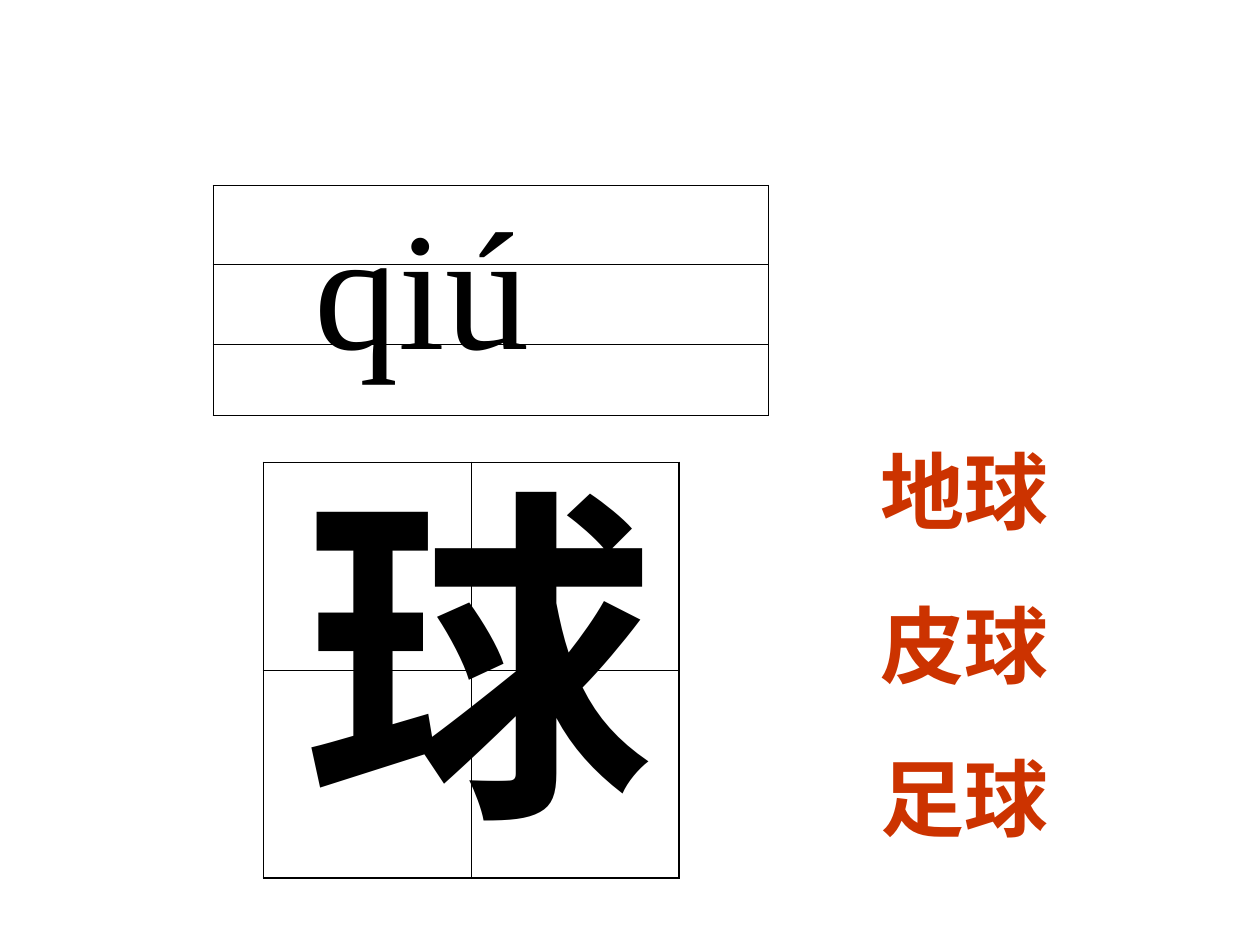
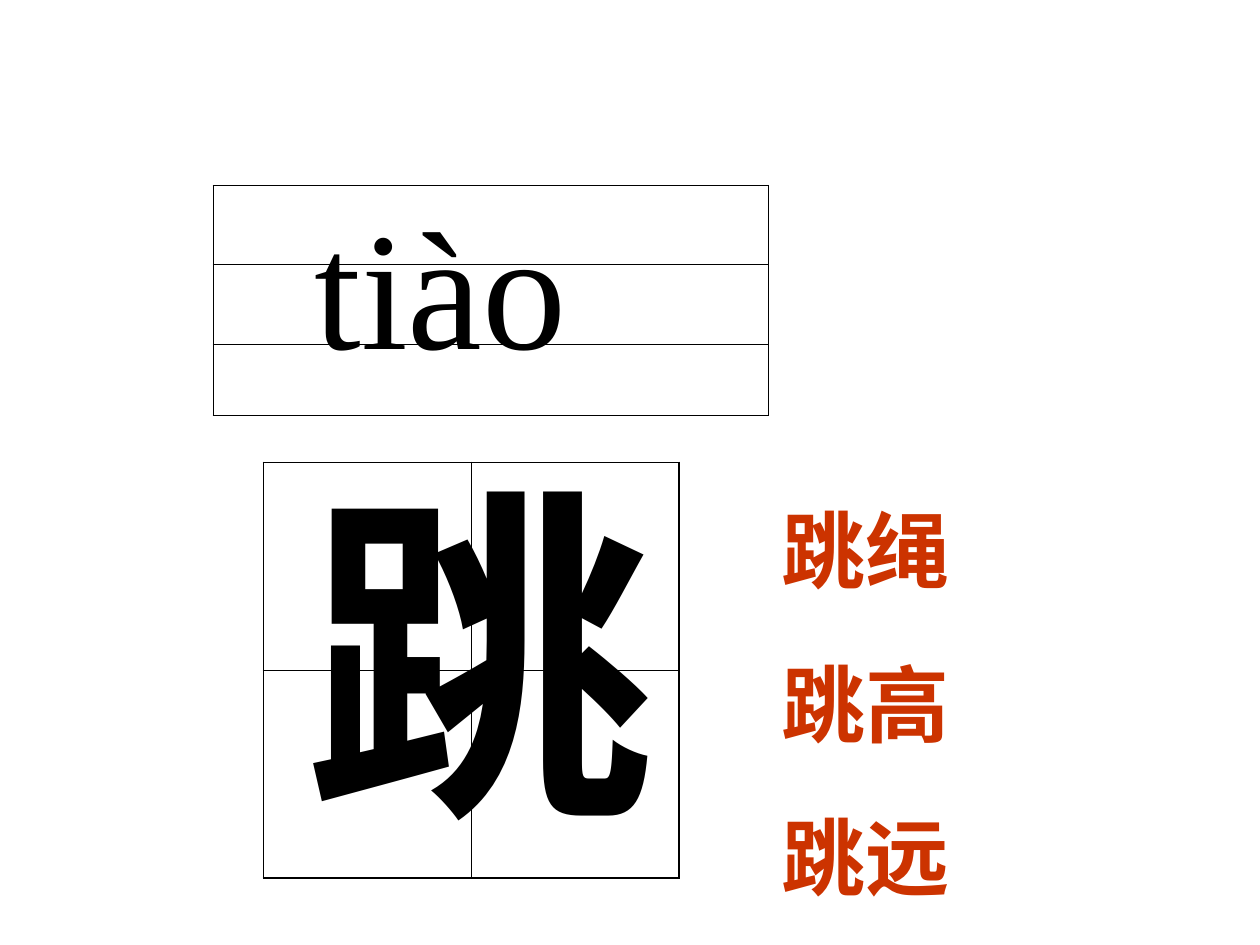
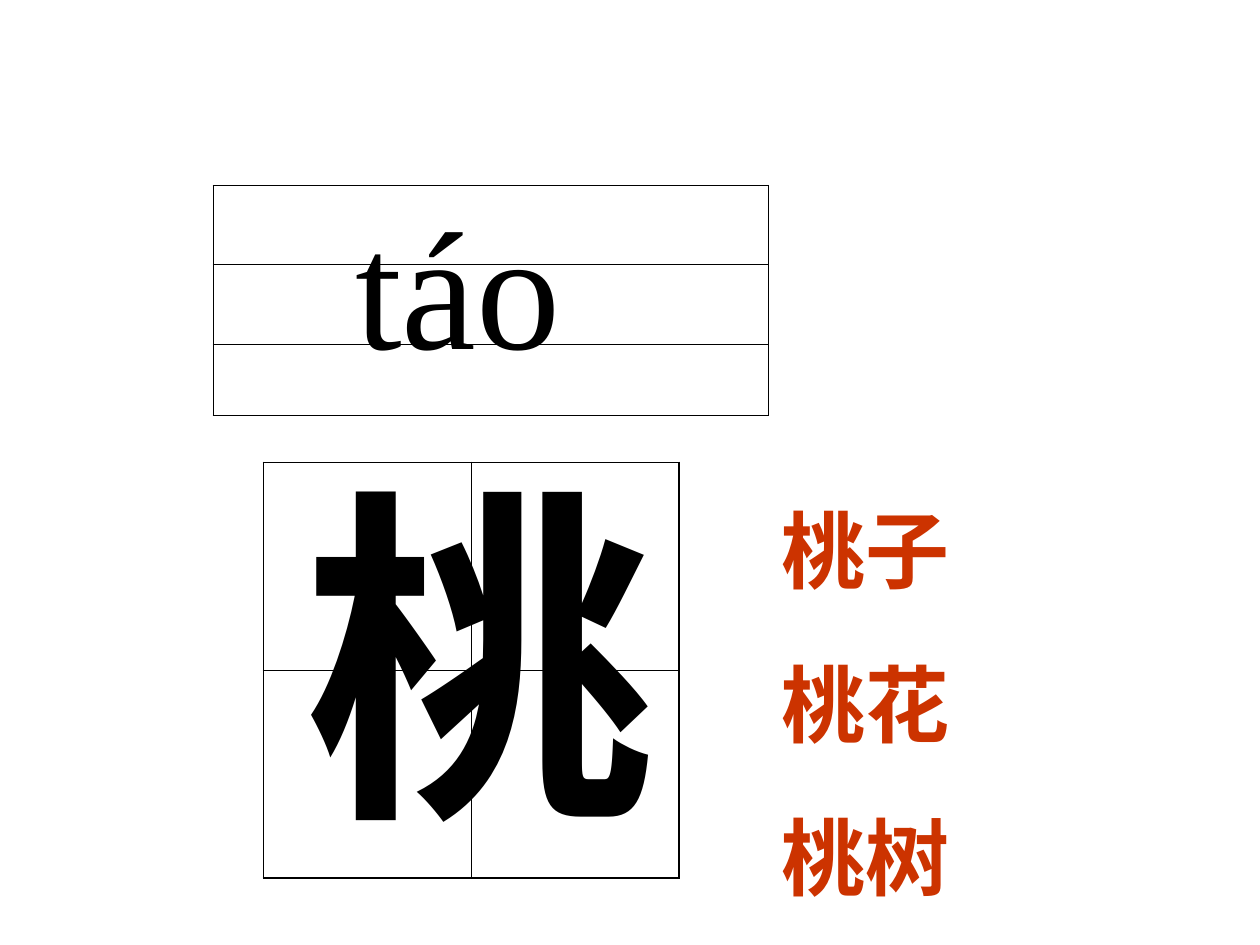
from dataclasses import dataclass

import pptx
import pptx.util
import pptx.dml.color
import pptx.enum.text
import pptx.oxml.ns
from lxml import etree
from pptx.util import Inches

LESSONS = [
    {"pinyin": "qiú", "pinyin_left": 2.4, "character": "球",
     "words": ["地球", "皮球", "足球"], "words_box": (6.89, 3.44, 2.61, 3.34)},
    {"pinyin": "tiào", "pinyin_left": 2.4, "character": "跳",
     "words": ["跳绳", "跳高", "跳远"], "words_box": (6.1, 3.91, 3.23, 3.34)},
    {"pinyin": "táo", "pinyin_left": 2.72, "character": "桃",
     "words": ["桃子", "桃花", "桃树"], "words_box": (6.1, 3.91, 3.23, 3.34)},
]

CHARACTER_BOX = (2.32, 3.44, 3.46, 3.44)
PINYIN_TOP, PINYIN_WIDTH, PINYIN_HEIGHT = 1.39, 5, 1.6
PRACTICE_GRID = {"left": 2.09, "top": 3.67, "columns": [1.65, 1.65], "rows": [1.65, 1.65]}
PINYIN_GRID = {"left": 1.69, "top": 1.47, "columns": [4.41], "rows": [0.63, 0.63, 0.57]}


@dataclass(frozen=True)
class TextStyle:
    font: str
    size: int
    color: str
    bold: bool = False
    space_before: int = 0


@dataclass(frozen=True)
class Theme:
    line: str = "000000"
    thin: float = 0.45
    thick: float = 1.08
    character: TextStyle = TextStyle("Arial", 200, "000000", bold=True)
    pinyin: TextStyle = TextStyle("Times New Roman", 96, "000000")
    words: TextStyle = TextStyle("Times New Roman", 48, "CC3300", bold=True, space_before=30)


THEME = Theme()


def add_child(parent, tag, **attributes):
    return etree.SubElement(parent, pptx.oxml.ns.qn(tag), **attributes)


def draw_borders(cell, widths):
    properties = cell._tc.get_or_add_tcPr()
    for side, width in widths.items():
        line = add_child(properties, f"a:ln{side}", w=str(pptx.util.Pt(width)))
        add_child(add_child(line, "a:solidFill"), "a:srgbClr", val=THEME.line)
    cell.fill.background()


def add_grid(slide, left, top, columns, rows, outer):
    """Add an unfilled table with thin inner lines and outer lines of the given width."""
    table = slide.shapes.add_table(
        len(rows), len(columns), Inches(left), Inches(top),
        Inches(sum(columns)), Inches(sum(rows))).table
    table.first_row = table.horz_banding = False
    for column, width in zip(table.columns, columns):
        column.width = Inches(width)
    for row, height in zip(table.rows, rows):
        row.height = Inches(height)
    for r in range(len(rows)):
        for c in range(len(columns)):
            on_edge = {"L": c == 0, "R": c == len(columns) - 1,
                       "T": r == 0, "B": r == len(rows) - 1}
            draw_borders(table.cell(r, c), {
                side: outer if edge else THEME.thin for side, edge in on_edge.items()})


def write_text(shape, box, lines, style):
    shape.left, shape.top, shape.width, shape.height = map(Inches, box)
    frame = shape.text_frame
    frame.word_wrap = True
    frame.auto_size = pptx.enum.text.MSO_AUTO_SIZE.NONE
    frame.vertical_anchor = pptx.enum.text.MSO_ANCHOR.TOP
    for index, line in enumerate(lines):
        paragraph = frame.add_paragraph() if index else frame.paragraphs[0]
        properties = paragraph._p.get_or_add_pPr()
        properties.set("marL", "0")
        properties.set("indent", "0")
        add_child(properties, "a:buNone")
        paragraph.alignment = pptx.enum.text.PP_ALIGN.LEFT
        paragraph.space_before = pptx.util.Pt(style.space_before if index else 0)
        run = paragraph.add_run()
        run.text = line
        run.font.name = style.font
        run.font.size = pptx.util.Pt(style.size)
        run.font.bold = style.bold
        run.font.color.rgb = pptx.dml.color.RGBColor.from_string(style.color)


def add_lesson(presentation, lesson):
    slide = presentation.slides.add_slide(presentation.slide_layouts[1])
    write_text(slide.shapes.title, CHARACTER_BOX, [lesson["character"]], THEME.character)
    write_text(slide.placeholders[1], lesson["words_box"], lesson["words"], THEME.words)
    add_grid(slide, **PRACTICE_GRID, outer=THEME.thick)
    add_grid(slide, **PINYIN_GRID, outer=THEME.thin)
    pinyin_box = (lesson["pinyin_left"], PINYIN_TOP, PINYIN_WIDTH, PINYIN_HEIGHT)
    pinyin = slide.shapes.add_textbox(*map(Inches, pinyin_box))
    write_text(pinyin, pinyin_box, [lesson["pinyin"]], THEME.pinyin)


def main():
    presentation = pptx.Presentation()
    presentation.slide_width, presentation.slide_height = Inches(10), Inches(7.5)
    for lesson in LESSONS:
        add_lesson(presentation, lesson)
    presentation.save("out.pptx")


if __name__ == "__main__":
    main()
